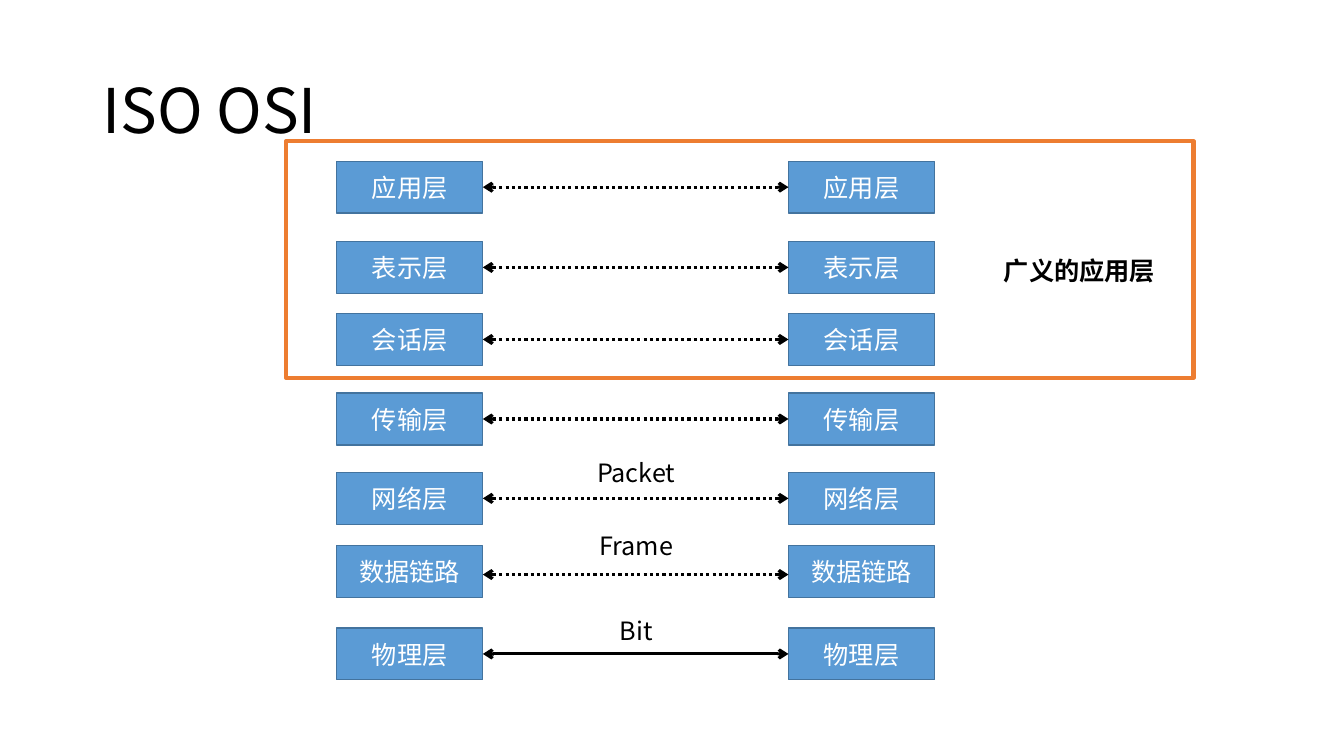
from lxml import etree
from pptx import Presentation
from pptx.dml.color import RGBColor
from pptx.enum.dml import MSO_LINE
from pptx.enum.shapes import MSO_CONNECTOR, MSO_SHAPE
from pptx.enum.text import MSO_ANCHOR, PP_ALIGN
from pptx.oxml.ns import qn
from pptx.util import Pt

RECTANGLE = MSO_SHAPE.RECTANGLE
STRAIGHT = MSO_CONNECTOR.STRAIGHT
DOTTED = MSO_LINE.ROUND_DOT
SOLID = MSO_LINE.SOLID
MIDDLE = MSO_ANCHOR.MIDDLE
TOP = MSO_ANCHOR.TOP
LEFT = PP_ALIGN.LEFT
CENTER = PP_ALIGN.CENTER

BLACK = RGBColor(0x00, 0x00, 0x00)
WHITE = RGBColor(0xFF, 0xFF, 0xFF)
BLUE = RGBColor(0x5B, 0x9B, 0xD5)
DARK_BLUE = RGBColor(0x43, 0x73, 0x9E)
ORANGE = RGBColor(0xED, 0x7D, 0x31)

FONT = "Noto Sans CJK SC"
HOST_LEFTS = (240.5, 563.2)
LAYER_WIDTH, LAYER_HEIGHT = 104.4, 37
LAYERS = [
    ("应用层", 115.2, DOTTED),
    ("表示层", 172.5, DOTTED),
    ("会话层", 224, DOTTED),
    ("传输层", 280.8, DOTTED),
    ("网络层", 337.5, DOTTED),
    ("数据链路", 389.7, DOTTED),
    ("物理层", 448.6, SOLID),
]
LINK_LAYER, LINK_ARROW_Y = "数据链路", 410.4
UNITS = [("Packet", 323.3), ("Frame", 375.1), ("Bit", 435.6)]


def write(frame, words, size=18, color=BLACK, bold=False, align=LEFT, anchor=TOP):
    """Put one styled run into a text frame and return its paragraph."""
    frame.word_wrap = True
    frame.vertical_anchor = anchor
    paragraph = frame.paragraphs[0]
    paragraph.alignment = align
    run = paragraph.add_run()
    run.text = words
    run.font.name = FONT
    run.font.size = Pt(size)
    run.font.bold = bold
    run.font.color.rgb = color
    east_asian = etree.SubElement(run.font._element, qn("a:ea"))
    east_asian.set("typeface", FONT)
    return paragraph


def add_label(slide, words, left, top, width, height, **style):
    """Add a text box and return its paragraph."""
    label = slide.shapes.add_textbox(Pt(left), Pt(top), Pt(width), Pt(height))
    return write(label.text_frame, words, **style)


def add_box(slide, left, top, width, height, outline, weight):
    """Add an unfilled rectangle with an outline."""
    box = slide.shapes.add_shape(RECTANGLE, Pt(left), Pt(top), Pt(width), Pt(height))
    box.shadow.inherit = False
    box.fill.background()
    box.line.color.rgb = outline
    box.line.width = Pt(weight)
    return box


def add_layer(slide, name, left, top):
    """Add one blue protocol layer."""
    layer = add_box(slide, left, top, LAYER_WIDTH, LAYER_HEIGHT, DARK_BLUE, 1)
    layer.fill.solid()
    layer.fill.fore_color.rgb = BLUE
    write(layer.text_frame, name, color=WHITE, align=CENTER, anchor=MIDDLE)
    return layer


def add_arrow(slide, y, dash):
    """Add a double-headed arrow between the two hosts."""
    start, end = HOST_LEFTS[0] + LAYER_WIDTH, HOST_LEFTS[1]
    arrow = slide.shapes.add_connector(STRAIGHT, Pt(start), Pt(y), Pt(end), Pt(y))
    arrow.line.color.rgb = BLACK
    arrow.line.width = Pt(2.25)
    arrow.line.dash_style = dash
    properties = arrow._element.spPr
    outline = properties.find(qn("a:ln"))
    for tip in ("a:headEnd", "a:tailEnd"):
        etree.SubElement(outline, qn(tip)).set("type", "arrow")
    etree.SubElement(properties, qn("a:effectLst"))
    return arrow


def add_peers(slide, name, top, dash):
    """Add a layer on both hosts with the arrow between them."""
    sender, receiver = [add_layer(slide, name, left, top) for left in HOST_LEFTS]
    if name == LINK_LAYER:
        add_arrow(slide, LINK_ARROW_Y, dash)
    else:
        arrow = add_arrow(slide, top + LAYER_HEIGHT / 2, dash)
        arrow.begin_connect(sender, 3)
        arrow.end_connect(receiver, 1)


def main():
    """Build the OSI layer slide."""
    deck = Presentation()
    deck.slide_width, deck.slide_height = Pt(960), Pt(540)
    slide = deck.slides.add_slide(deck.slide_layouts[6])
    title = add_label(slide, "ISO OSI", 66, 28.8, 828, 104.4, size=44, anchor=MIDDLE)
    title.line_spacing = 0.9
    for name, top, dash in LAYERS:
        add_peers(slide, name, top, dash)
    for unit, top in UNITS:
        add_label(slide, unit, 399, top, 111, 29, align=CENTER)
    add_box(slide, 204.5, 100.8, 648, 169.2, ORANGE, 3)
    add_label(slide, "广义的应用层", 710, 178.6, 132.5, 29, bold=True)
    deck.save("out.pptx")


if __name__ == "__main__":
    main()
